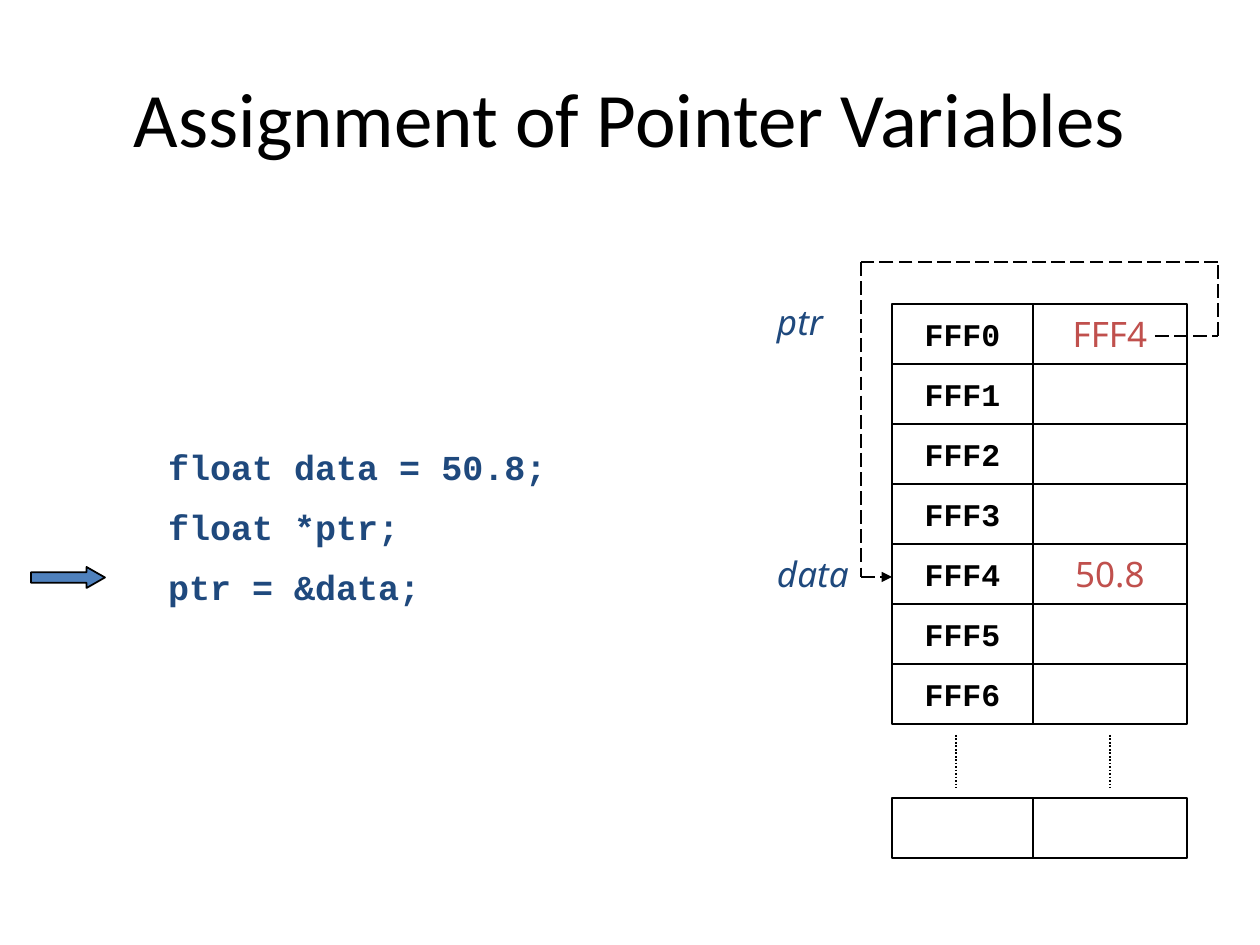
from typing import NamedTuple

from lxml.etree import SubElement
from pptx import Presentation
from pptx.dml.color import RGBColor
from pptx.enum.dml import MSO_LINE
from pptx.enum.shapes import MSO_CONNECTOR, MSO_SHAPE
from pptx.enum.text import MSO_ANCHOR, PP_ALIGN
from pptx.oxml.ns import qn
from pptx.util import Inches, Pt

COLORS = {"ink": "000000", "code": "1F497D", "value": "C0504D", "arrow": "4F81BD"}
ROW_HEIGHT = 60
MEMORY_TOP = 304
LAST_ROW_TOP = 798


class Style(NamedTuple):
    font: str
    size: int
    color: str
    bold: bool = False
    italic: bool = False


class Column(NamedTuple):
    left: int
    width: int
    style: Style
    dots_x: int
    entries: list[str]


class Label(NamedTuple):
    text: str
    top: int


class Segment(NamedTuple):
    start: tuple[int, int]
    end: tuple[int, int]
    dash: MSO_LINE
    arrowhead: bool = False


TITLE = Style("Calibri", 44, "ink")
CODE = Style("Courier New", 20, "code", bold=True)
ADDRESS = Style("Courier New", 18, "ink", bold=True)
VALUE = Style("Noto Sans", 20, "value")
VARIABLE = Style("Noto Sans", 20, "code", italic=True)

COLUMNS = [
    Column(1033, 154, VALUE, 1110, ["FFF4", "", "", "", "50.8", "", ""]),
    Column(892, 141, ADDRESS, 956, [f"FFF{row}" for row in range(7)]),
]
LABELS = [Label("ptr", 294), Label("data", 546)]
STATEMENTS = ["float data = 50.8;", "float *ptr;", "ptr = &data;"]
POINTER_ROUTE = [(1155, 336), (1218, 336), (1218, 262), (861, 262), (861, 577), (892, 577)]


def px(length: float) -> int:
    return round(length * 914400 / 126)


def rgb(name: str) -> RGBColor:
    return RGBColor.from_string(COLORS[name])


def style_paragraph(paragraph, style: Style) -> None:
    font = paragraph.font
    font.name, font.size = style.font, Pt(style.size)
    font.bold, font.italic = style.bold, style.italic
    font.color.rgb = rgb(style.color)


def outline(line) -> None:
    line.color.rgb = rgb("ink")
    line.width = Pt(1)


def add_cell(column: Column, top: int, text: str = "") -> None:
    cell = slide.shapes.add_shape(
        MSO_SHAPE.RECTANGLE, px(column.left), px(top), px(column.width), px(ROW_HEIGHT))
    cell.shadow.inherit = False
    cell.fill.background()
    outline(cell.line)
    if text:
        frame = cell.text_frame
        frame.word_wrap = False
        frame.vertical_anchor = MSO_ANCHOR.MIDDLE
        frame.text = text
        frame.paragraphs[0].alignment = PP_ALIGN.CENTER
        style_paragraph(frame.paragraphs[0], column.style)


def add_lines(left: int, top: int, width: int, height: int,
              lines: list[str], style: Style, spacing: float = 1, before: float = 0) -> None:
    frame = slide.shapes.add_textbox(px(left), px(top), px(width), px(height)).text_frame
    frame.word_wrap = True
    frame.margin_left = frame.margin_right = 0
    frame.text = "\n".join(lines)
    for paragraph in frame.paragraphs:
        paragraph.line_spacing = spacing
        paragraph.space_before = Pt(before)
        style_paragraph(paragraph, style)


def add_segment(segment: Segment) -> None:
    connector = slide.shapes.add_connector(
        MSO_CONNECTOR.STRAIGHT, *map(px, segment.start + segment.end))
    outline(connector.line)
    connector.line.dash_style = segment.dash
    if segment.arrowhead:
        SubElement(connector.line._get_or_add_ln(), qn("a:tailEnd"), type="triangle")
    SubElement(connector._element.spPr, qn("a:effectLst"))


presentation = Presentation()
presentation.slide_width, presentation.slide_height = Inches(10), Inches(7.5)
slide = presentation.slides.add_slide(presentation.slide_layouts[5])

title = slide.shapes.title
title.left, title.top, title.width, title.height = map(px, (63, 38, 1134, 157))
title.text_frame.text = "Assignment of Pointer Variables"
title.text_frame.vertical_anchor = MSO_ANCHOR.MIDDLE
title.text_frame.paragraphs[0].alignment = PP_ALIGN.CENTER
style_paragraph(title.text_frame.paragraphs[0], TITLE)

add_lines(168, 431, 472, 180, STATEMENTS, CODE, spacing=1.2, before=5.4)

for column in COLUMNS:
    for row, entry in enumerate(column.entries):
        add_cell(column, MEMORY_TOP + row * ROW_HEIGHT, entry)
    add_cell(column, LAST_ROW_TOP)
    add_segment(Segment((column.dots_x, 735), (column.dots_x, 788), MSO_LINE.ROUND_DOT))

for label in LABELS:
    add_lines(777, label.top, 95, 54, [label.text], VARIABLE)

for start, end in zip(POINTER_ROUTE, POINTER_ROUTE[1:]):
    add_segment(Segment(start, end, MSO_LINE.LONG_DASH, end == POINTER_ROUTE[-1]))

current_step = slide.shapes.add_shape(MSO_SHAPE.RIGHT_ARROW, px(31), px(567), px(74), px(21))
current_step.adjustments[0], current_step.adjustments[1] = 0.5, 0.875
current_step.shadow.inherit = False
current_step.fill.solid()
current_step.fill.fore_color.rgb = rgb("arrow")
outline(current_step.line)

presentation.save("out.pptx")
